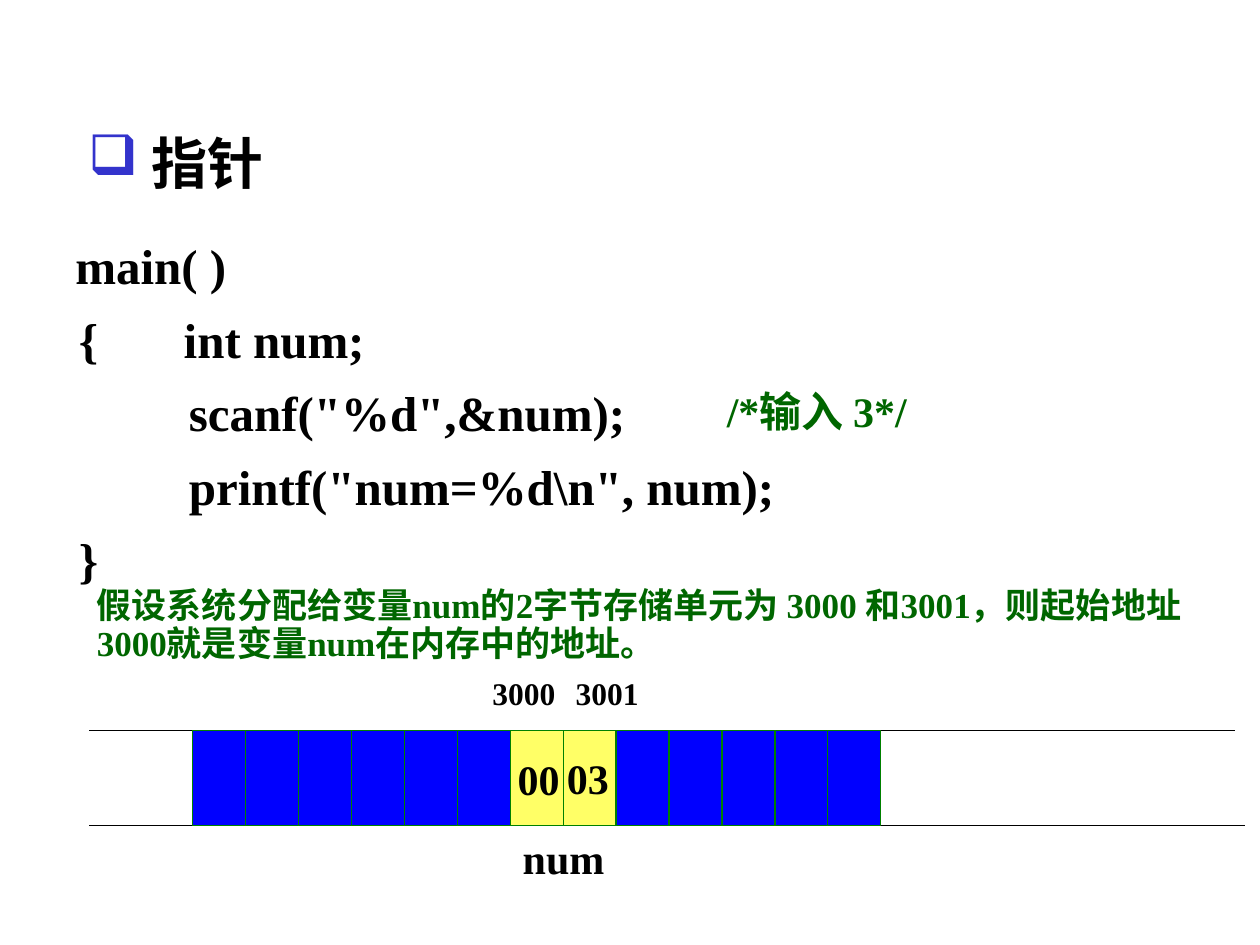
from dataclasses import dataclass

import pptx
import pptx.dml.color
import pptx.enum.shapes
import pptx.enum.text
import pptx.oxml.ns
import pptx.util
from lxml import etree
from pptx.util import Inches

FONT = "Times New Roman"
COLORS = {
    "text": "000000",
    "note": "006600",
    "bullet": "3333CC",
    "byte": "0000FF",
    "num_byte": "FFFF66",
    "border": "008000",
}
ALIGN = pptx.enum.text.PP_ALIGN
qn = pptx.oxml.ns.qn


@dataclass
class Label:
    text: str
    left: float
    top: float
    width: float
    height: float
    size: int
    color: str = "text"
    align: ALIGN = ALIGN.LEFT
    wrap: bool = False
    line_spacing: float = 1.0


def rgb(name: str) -> pptx.dml.color.RGBColor:
    return pptx.dml.color.RGBColor.from_string(COLORS[name])


def add_run(p, text: str, size: int, color: str = "text") -> None:
    r = p.add_run()
    r.text = text
    r.font.name = FONT
    r.font.size = pptx.util.Pt(size)
    r.font.bold = True
    r.font.color.rgb = rgb(color)


def place(sp, left: float, top: float, width: float, height: float) -> None:
    sp.left, sp.top = Inches(left), Inches(top)
    sp.width, sp.height = Inches(width), Inches(height)


def add_label(s, label: Label) -> None:
    sp = s.shapes.add_textbox(Inches(label.left), Inches(label.top),
                              Inches(label.width), Inches(label.height))
    tf = sp.text_frame
    tf.word_wrap = label.wrap
    p = tf.paragraphs[0]
    p.alignment = label.align
    p.line_spacing = label.line_spacing
    add_run(p, label.text, label.size, label.color)


def add_bullet(p, char: str, color: str, indent: float) -> None:
    pPr = p._p.get_or_add_pPr()
    pPr.set("marL", str(Inches(indent)))
    pPr.set("indent", str(-Inches(indent)))
    clr = etree.SubElement(pPr, qn("a:buClr"))
    etree.SubElement(clr, qn("a:srgbClr")).set("val", COLORS[color])
    etree.SubElement(pPr, qn("a:buChar")).set("char", char)


def add_rail(s, y: float, right: float) -> None:
    line = s.shapes.add_connector(pptx.enum.shapes.MSO_CONNECTOR.STRAIGHT,
                                  Inches(0.71), Inches(y), Inches(right), Inches(y))
    line.line.color.rgb = rgb("text")
    line.line.width = pptx.util.Pt(0.75)
    etree.SubElement(line._element.spPr, qn("a:effectLst"))


def add_byte(s, left: float, top: float, width: float, height: float, fill: str) -> None:
    sp = s.shapes.add_shape(pptx.enum.shapes.MSO_SHAPE.RECTANGLE, Inches(left),
                            Inches(top), Inches(width), Inches(height))
    sp.shadow.inherit = False
    sp.fill.solid()
    sp.fill.fore_color.rgb = rgb(fill)
    sp.line.color.rgb = rgb("border")
    sp.line.width = pptx.util.Pt(0.75)


def main() -> None:
    prs = pptx.Presentation()
    prs.slide_width, prs.slide_height = Inches(10), Inches(7.5)
    s = prs.slides.add_slide(prs.slide_layouts[5])

    # Title
    title = s.shapes.title
    place(title, 0.6, 0.97, 1.59, 0.64)
    tf = title.text_frame
    tf.word_wrap = False
    tf.auto_size = pptx.enum.text.MSO_AUTO_SIZE.NONE
    tf.vertical_anchor = pptx.enum.text.MSO_ANCHOR.TOP
    p = tf.paragraphs[0]
    p.alignment = ALIGN.LEFT
    add_bullet(p, "❑", "bullet", 0.5)
    add_run(p, "指针", 32)

    # Program
    code = [
        "main( )",
        " {       int num;",
        '          scanf("%d",&num);',
        '          printf("num=%d\\n", num);',
        " }",
    ]
    sp = s.shapes.add_textbox(Inches(0.43), Inches(1.82), Inches(9.21), Inches(2.87))
    tf = sp.text_frame
    tf.word_wrap = True
    for i, text in enumerate(code):
        p = tf.paragraphs[0] if i == 0 else tf.add_paragraph()
        if i == 0:
            add_run(p, " ", 20)
        else:
            p.space_before = pptx.util.Pt(8.4)
        add_run(p, text, 28)

    # Memory strip: the two bytes of num lie among the others
    strip_left, strip_top, byte_w, byte_h = 1.53, 5.8, 0.42, 0.75
    add_rail(s, strip_top, 9.8)
    add_rail(s, strip_top + byte_h, 9.88)
    num_bytes = (6, 7)
    for i in range(13):
        fill = "num_byte" if i in num_bytes else "byte"
        add_byte(s, strip_left + i * byte_w, strip_top, byte_w, byte_h, fill)

    # Comments, addresses and values
    labels = [
        Label("/*输入 3*/", 5.67, 3.01, 1.8, 0.5, 24, "note"),
        Label("假设系统分配给变量num的2字节存储单元为 3000 和3001，"
              "则起始地址3000就是变量num在内存中的地址。",
              0.67, 4.62, 8.82, 0.7, 20, "note", wrap=True, line_spacing=0.9),
        Label("3000", 3.81, 5.3, 0.7, 0.4, 18),
        Label("3001", 4.47, 5.3, 0.7, 0.4, 18),
        Label("00", 4.01, 5.93, 0.53, 0.5, 24, align=ALIGN.CENTER),
        Label("03", 4.4, 5.92, 0.53, 0.5, 24, align=ALIGN.CENTER),
        Label("num", 4.05, 6.56, 0.85, 0.5, 24),
    ]
    for label in labels:
        add_label(s, label)

    prs.save("out.pptx")


if __name__ == "__main__":
    main()
